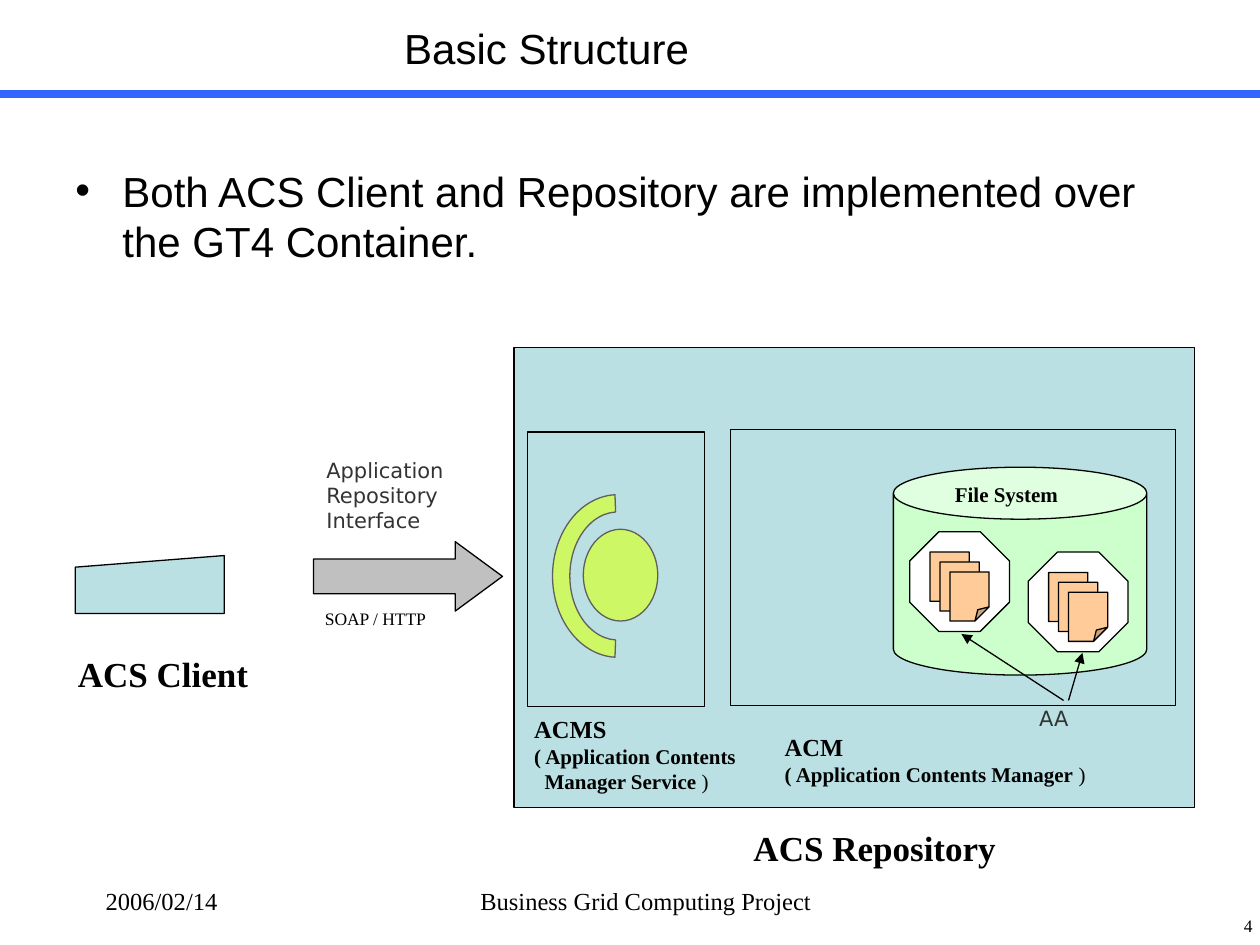
from lxml.etree import SubElement
from pptx import Presentation
from pptx.dml.color import RGBColor
from pptx.enum.shapes import MSO_CONNECTOR as Link, MSO_SHAPE as Kind
from pptx.enum.text import MSO_ANCHOR as Anchor, PP_ALIGN as Align
from pptx.oxml.ns import qn
from pptx.util import Cm, Pt

SERIF, SANS, LABEL = "Times New Roman", "Arial", "DejaVu Sans"
BLACK, GREY, BLUE = "000000", "333333", "BBE0E3"
LIME, PEACH = "CDF765", "FFCC99"
WIDE, TIGHT = (0.25, 0.13), (0.2, 0.03)


def color(code):
    return RGBColor.from_string(code)


def indent(para, left, first=0):
    props = para._p.get_or_add_pPr()
    props.set("marL", str(Cm(left)))
    props.set("indent", str(Cm(first)))
    return props


class Page:
    def __init__(self, slide):
        self.shapes = slide.shapes
        self.width = Pt(0.75)

    def shape(self, kind, box, fill, line=BLACK, adjust=(), turn=0):
        item = self.shapes.add_shape(kind, *map(Cm, box))
        item.shadow.inherit = False
        item.fill.solid()
        item.fill.fore_color.rgb = color(fill)
        item.line.color.rgb = color(line)
        item.line.width = self.width
        item.rotation = turn
        for i, value in enumerate(adjust):
            item.adjustments[i] = value
        return item

    def sheet(self, left, top):
        """Paper with a folded corner; the library misspells this preset."""
        item = self.shape(Kind.FOLDED_CORNER, (left, top, 0.79, 0.99), PEACH)
        form = item._element.spPr.find(qn("a:prstGeom"))
        form.set("prst", "foldedCorner")
        guides = form.find(qn("a:avLst"))
        SubElement(guides, qn("a:gd"), name="adj", fmla="val 36000")

    def archive(self, left, top):
        """Octagon that holds three stacked sheets."""
        self.shape(Kind.OCTAGON, (left, top, 2.01, 2.01), "FFFFFF", adjust=[0.293])
        for i in range(3):
            shift = 0.41 + 0.2 * i
            self.sheet(left + shift, top + shift)

    def line(self, start, end, code=BLACK, width=None, arrow=True):
        item = self.shapes.add_connector(Link.STRAIGHT, *map(Cm, start + end))
        item.line.color.rgb = color(code)
        item.line.width = width or self.width
        if arrow:
            SubElement(item.line._get_or_add_ln(), qn("a:tailEnd"), type="triangle")
        SubElement(item._element.spPr, qn("a:effectLst"))

    def text(self, box, words, size, font=SERIF, code=BLACK, bold=False,
             align=Align.LEFT, inset=WIDE, wrap=True, left=0):
        """Add a text box and return its frame."""
        frame = self.shapes.add_textbox(*map(Cm, box)).text_frame
        frame.word_wrap = wrap
        frame.margin_left = frame.margin_right = Cm(inset[0])
        frame.margin_top = frame.margin_bottom = Cm(inset[1])
        frame.text = words
        for para in frame.paragraphs:
            indent(para, left)
            para.alignment = align
            for run in para.runs:
                run.font.size = Pt(size)
                run.font.name = font
                run.font.bold = bold
                run.font.color.rgb = color(code)
        return frame

    def bullet(self, box, words, size):
        para = self.text(box, words, size, SANS).paragraphs[0]
        props = indent(para, 0.95, -0.95)
        SubElement(props, qn("a:buFont"), typeface=SANS)
        SubElement(props, qn("a:buChar"), char="•")

    def caption(self, box, words):
        """Large first line, smaller bold lines, and a plain closing bracket."""
        frame = self.text(box, words, 12, bold=True, wrap=False)
        frame.paragraphs[0].runs[0].font.size = Pt(14)
        last = frame.paragraphs[-1].add_run()
        last.text = " )"
        last.font.size = Pt(12)
        last.font.name = SERIF
        last.font.bold = False
        last.font.color.rgb = color(BLACK)
        return frame


def main():
    deck = Presentation()
    deck.slide_width, deck.slide_height = Cm(25.4), Cm(19.05)
    page = Page(deck.slides.add_slide(deck.slide_layouts[6]))

    # Heading
    page.line((0, 1.9), (25.4, 1.9), "3366FF", Pt(4.5), arrow=False)
    title = page.text((7.9, 0.33, 17.5, 1.27), "Basic Structure", 24, SANS)
    title.vertical_anchor = Anchor.MIDDLE

    # Repository
    page.shape(Kind.RECTANGLE, (10.36, 7.01, 13.72, 9.27), BLUE)
    page.bullet((1.27, 3.2, 22.86, 13.74),
                "Both ACS Client and Repository are implemented over "
                "the GT4 Container.", 24)
    page.shape(Kind.RECTANGLE, (10.64, 8.71, 3.56, 5.54), BLUE)
    page.shape(Kind.RECTANGLE, (14.73, 8.66, 8.97, 5.56), BLUE)
    page.shape(Kind.CAN, (18.01, 9.42, 5.11, 4.19), "CCFFCC", adjust=[0.25])
    page.text((19, 9.58, 2.84, 0.76), "File System", 12, bold=True)
    for corner in ((18.34, 10.72), (20.73, 11.13)):
        page.archive(*corner)
    page.line((21.44, 14.12), (19.38, 12.78))
    page.line((21.54, 14.12), (21.82, 13.16))
    page.text((20.75, 14.2, 1.4, 0.86), "AA", 12, LABEL, GREY,
              align=Align.JUSTIFY, inset=TIGHT)
    page.shape(Kind.BLOCK_ARC, (10.82, 10.29, 3.28, 2.64), LIME, "5F5F5F",
               [109.28, 214.72, 0.132], 270)
    page.shape(Kind.OVAL, (11.76, 10.67, 1.5, 1.85), LIME, "5F5F5F")
    service = page.caption((10.52, 14.27, 4.7, 1.88),
                           "ACMS\n( Application Contents\nManager Service")
    indent(service.paragraphs[-1], 0.21)
    page.caption((15.57, 14.63, 6.6, 1.37),
                 "ACM\n( Application Contents Manager")
    page.text((14.94, 16.54, 5.41, 1.12), "ACS Repository", 20, bold=True)

    # Client and interface
    page.shape(Kind.FLOWCHART_MANUAL_INPUT, (1.52, 11.2, 3, 1.17), BLUE)
    page.text((1.32, 13.03, 4.19, 1.12), "ACS Client", 20, bold=True)
    page.shape(Kind.RIGHT_ARROW, (6.32, 10.92, 3.81, 1.4), "C0C0C0",
               adjust=[0.5, 0.68])
    page.text((6.38, 9.19, 3.05, 1.73), "Application Repository Interface", 12,
              LABEL, GREY, align=Align.JUSTIFY, inset=TIGHT)
    page.text((6.3, 12.12, 2.82, 0.69), "SOAP / HTTP", 10)

    # Footer
    page.text((1.27, 17.73, 5.92, 0.94), "2006/02/14", 14, left=0.61)
    page.text((8.69, 17.73, 8.05, 0.94), "Business Grid Computing Project", 14,
              align=Align.CENTER, left=0.61)
    page.text((20.96, 18.42, 4.34, 0.71), "4", 10, align=Align.RIGHT,
              inset=(0.05, 0.03), left=0.61)

    deck.save("out.pptx")


if __name__ == "__main__":
    main()
